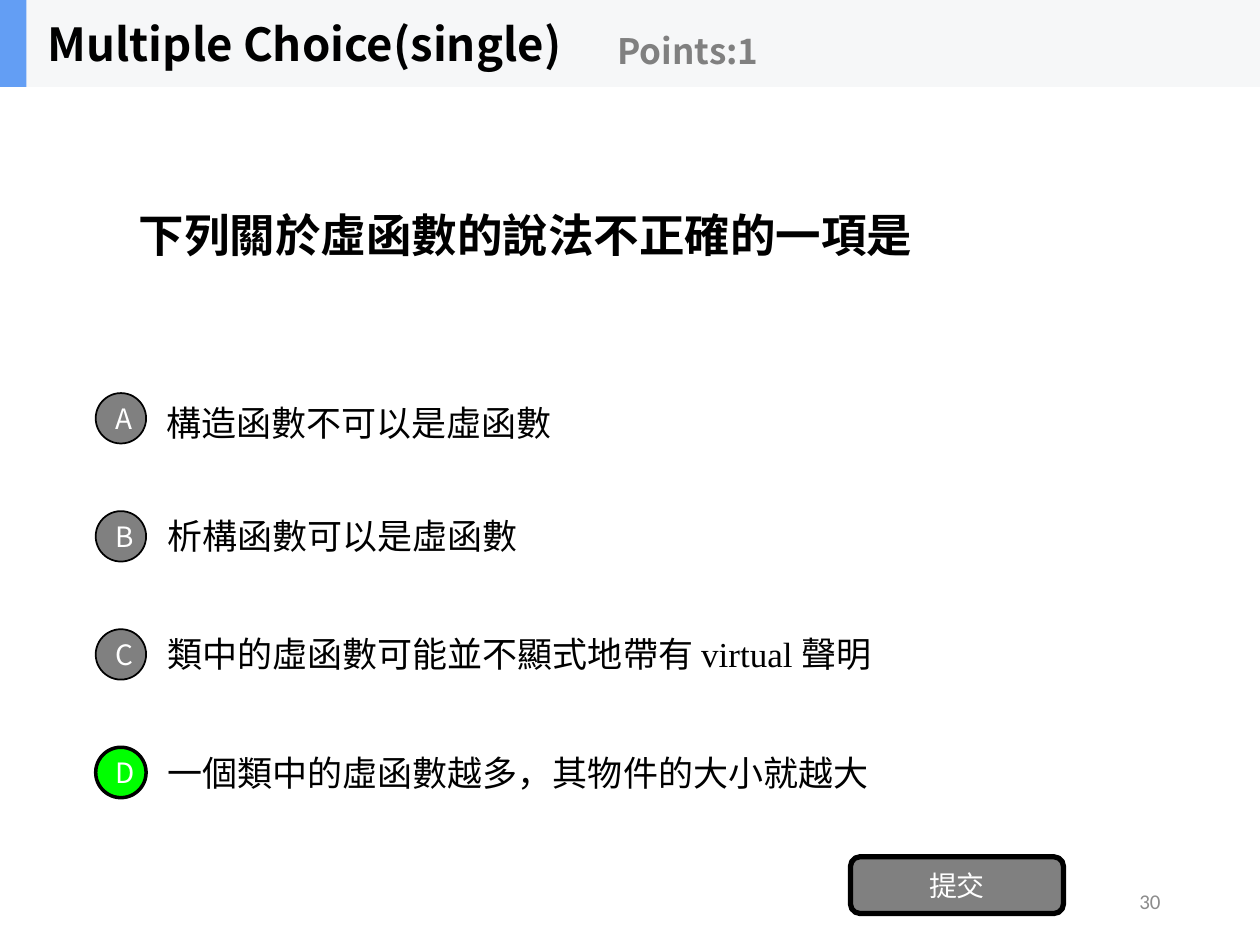
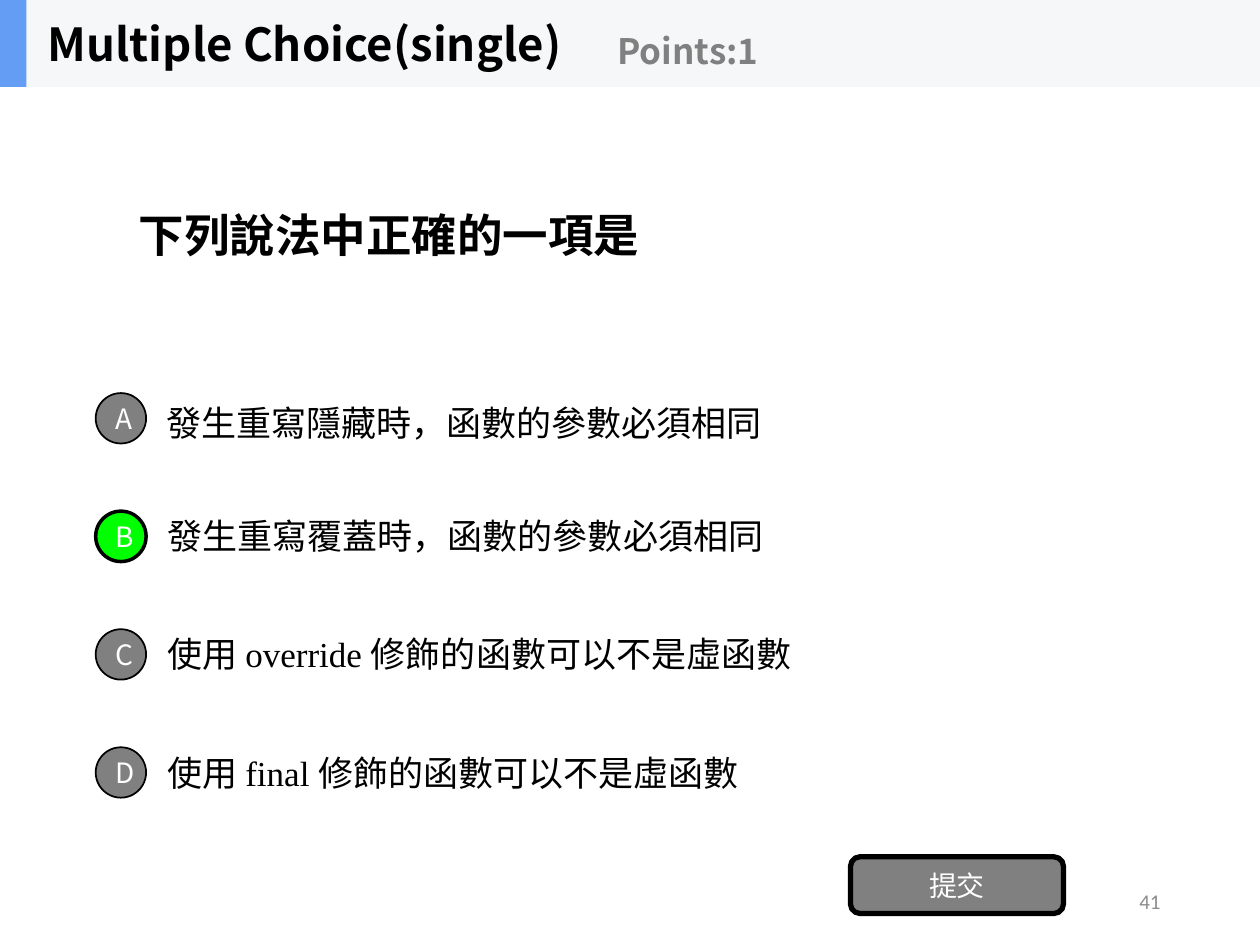
from lxml import etree
from pptx import Presentation
from pptx.dml.color import RGBColor
from pptx.enum.shapes import MSO_SHAPE
from pptx.enum.text import MSO_ANCHOR, MSO_AUTO_SIZE, PP_ALIGN
from pptx.oxml.ns import qn
from pptx.util import Inches, Pt

COLORS = {
    "text": "000000", "gray": "808080", "white": "FFFFFF", "correct": "00FF00",
    "band": "F6F7F8", "accent": "639EF4", "number": "8C8C8C",
}
SANS = "Noto Sans CJK SC"
SERIF = "Times New Roman"

QUESTIONS = [
    {
        "number": "30",
        "question": "下列關於虛函數的說法不正確的一項是",
        "answer": "D",
        "options": [
            "構造函數不可以是虛函數",
            "析構函數可以是虛函數",
            "類中的虛函數可能並不顯式地帶有 virtual 聲明",
            "一個類中的虛函數越多，其物件的大小就越大",
        ],
    },
    {
        "number": "41",
        "question": "下列說法中正確的一項是",
        "answer": "B",
        "options": [
            "發生重寫隱藏時，函數的參數必須相同",
            "發生重寫覆蓋時，函數的參數必須相同",
            "使用 override 修飾的函數可以不是虛函數",
            "使用 final 修飾的函數可以不是虛函數",
        ],
    },
]
# Left, top and width of each option text, in inches
OPTION_BOXES = [(1.22, 2.92, 7.86), (1.23, 3.9, 7), (1.23, 4.84, 8.07), (1.23, 5.78, 8.07)]
BADGE_TOP, BADGE_STEP = 3.12, 0.937


def write_text(shape, text, size, color, font=SANS, bold=False, align=PP_ALIGN.LEFT):
    """Fill a shape with one paragraph, with Chinese glyphs set in the sans font."""
    frame = shape.text_frame
    frame.text = text
    frame.word_wrap = True
    frame.auto_size = MSO_AUTO_SIZE.NONE
    frame.vertical_anchor = MSO_ANCHOR.MIDDLE
    paragraph = frame.paragraphs[0]
    paragraph.alignment = align
    run = paragraph.runs[0]
    run.font.size = Pt(size)
    run.font.bold = bold
    run.font.name = font
    run.font.color.rgb = RGBColor.from_string(COLORS[color])
    etree.SubElement(run.font._element, qn("a:ea")).set("typeface", SANS)
    return paragraph


def add_filled_shape(shapes, kind, box, fill, line_width=0):
    shape = shapes.add_shape(kind, *[Inches(value) for value in box])
    shape.shadow.inherit = False
    shape.fill.solid()
    shape.fill.fore_color.rgb = RGBColor.from_string(COLORS[fill])
    if line_width:
        shape.line.color.rgb = RGBColor.from_string(COLORS["text"])
        shape.line.width = Pt(line_width)
    else:
        shape.line.fill.background()
    return shape


presentation = Presentation()
presentation.slide_width = Inches(10)
presentation.slide_height = Inches(7.5)
title_only = presentation.slide_layouts[5]

for item in QUESTIONS:
    slide = presentation.slides.add_slide(title_only)
    shapes = slide.shapes

    question = shapes.title
    question.left, question.top = Inches(1), Inches(0.69)
    question.width, question.height = Inches(8), Inches(2.34)
    write_text(question, item["question"], 26, "text", bold=True)

    number = shapes.add_textbox(Inches(7.06), Inches(6.95), Inches(2.25), Inches(0.4))
    write_text(number, item["number"], 12, "number", font="Calibri", align=PP_ALIGN.RIGHT)

    # Header band
    header = shapes.add_group_shape().shapes
    add_filled_shape(header, MSO_SHAPE.RECTANGLE, (0, 0, 10, 0.69), "band")
    add_filled_shape(header, MSO_SHAPE.RECTANGLE, (0, 0, 0.21, 0.69), "accent")
    heading = header.add_textbox(Inches(0.28), Inches(0), Inches(4.5), Inches(0.69))
    write_text(heading, "Multiple Choice(single)", 26, "text", bold=True)
    points = header.add_textbox(Inches(4.8), Inches(0.12), Inches(2.5), Inches(0.56))
    write_text(points, "Points:1", 20, "gray", bold=True)

    # Answer options, with the correct badge highlighted
    for index, (letter, option) in enumerate(zip("ABCD", item["options"])):
        left, top, width = OPTION_BOXES[index]
        option_box = shapes.add_textbox(Inches(left), Inches(top), Inches(width), Inches(0.7))
        paragraph = write_text(option_box, option, 20, "text", font=SERIF)
        if index == 0:
            paragraph.line_spacing = 1.5

        is_correct = letter == item["answer"]
        badge = add_filled_shape(
            shapes, MSO_SHAPE.OVAL, (0.76, BADGE_TOP + index * BADGE_STEP, 0.4, 0.4),
            "correct" if is_correct else "gray", 2 if is_correct else 1)
        write_text(badge, letter, 16, "white", align=PP_ALIGN.CENTER)

    submit = add_filled_shape(
        shapes, MSO_SHAPE.ROUNDED_RECTANGLE, (6.75, 6.8, 1.69, 0.45), "gray", 3)
    write_text(submit, "提交", 16, "white", align=PP_ALIGN.CENTER)

presentation.save("out.pptx")
